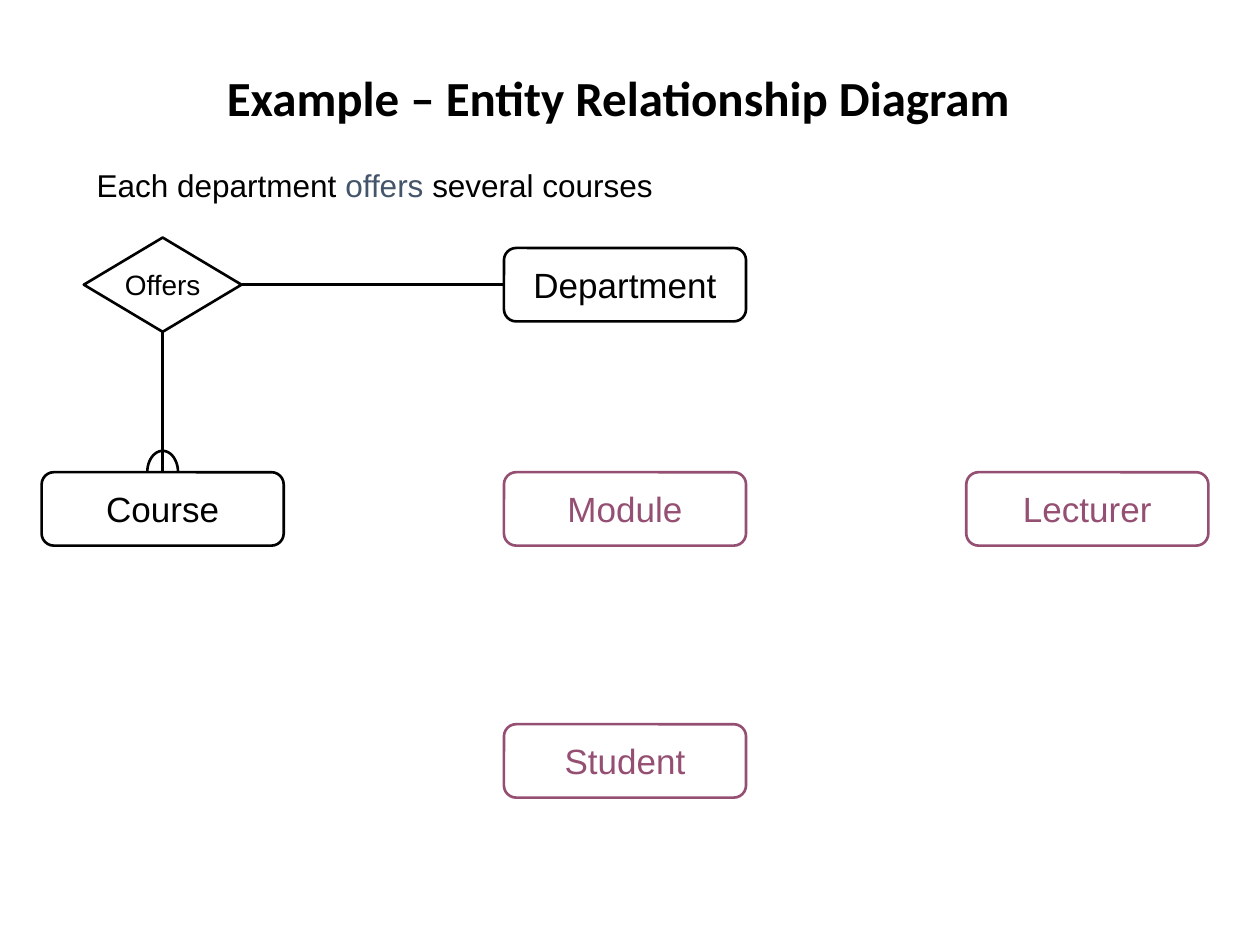
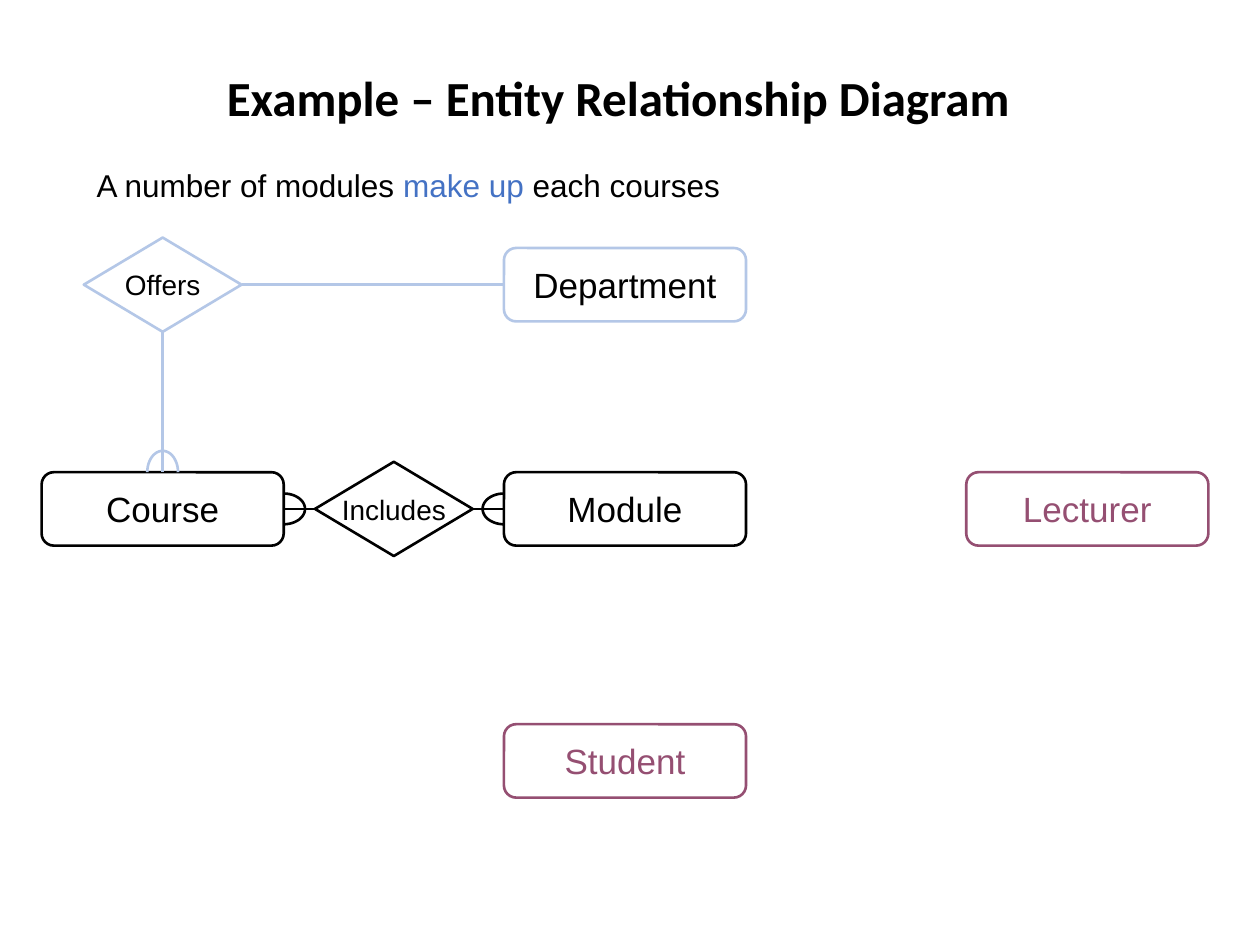
from math import cos, pi, sin

from lxml.etree import SubElement
from pptx import Presentation
from pptx.dml.color import RGBColor as Rgb
from pptx.enum.shapes import MSO_CONNECTOR as Link, MSO_SHAPE as Kind
from pptx.enum.text import MSO_ANCHOR as Anchor, MSO_AUTO_SIZE as Fit, PP_ALIGN as Align
from pptx.oxml.ns import qn
from pptx.util import Cm, Pt

COLORS = {"black": "000000", "plum": "954F72", "pale": "B4C7E7",
          "slate": "44546A", "blue": "4472C4"}
FONTS = {
    "title": {"name": "Calibri", "size": Pt(28), "bold": True},
    "note": {"name": "Arial", "size": Pt(18)},
    "entity": {"name": "Arial", "size": Pt(20)},
    "relation": {"name": "Arial", "size": Pt(16)},
}
TITLE = "Example – Entity Relationship Diagram"
COLS = [3.28 + 9.32 * i for i in range(3)]
ROWS = [5.74, 10.26, 15.34]
MID = (COLS[0] + COLS[1]) / 2
TOP, LEFT, BOTTOM, RIGHT = range(4)
SIDES = {TOP: (0, -1), LEFT: (-1, 0), BOTTOM: (0, 1), RIGHT: (1, 0)}


def color(name):
    return Rgb.from_string(COLORS[name])


def assign(item, values):
    for key, value in values.items():
        setattr(item, key, value)


class Diagram:
    def __init__(self, deck):
        self.slide = deck.slides.add_slide(deck.slide_layouts[5])
        self.shapes = self.slide.shapes

    def label(self, par, text, style, tint="black"):
        run = par.add_run()
        run.text = text
        assign(run.font, FONTS[style])
        run.font.color.rgb = color(tint)

    def stroke(self, item, tint):
        item.line.color.rgb = color(tint)
        item.line.width = Pt(1.5)

    def title(self, text):
        head = self.shapes.title
        assign(head, {"left": Cm(0.84), "top": Cm(0.84),
                      "width": Cm(23.24), "height": Cm(2.39)})
        assign(head.text_frame, {"vertical_anchor": Anchor.MIDDLE,
                                 "word_wrap": True, "auto_size": Fit.NONE})
        par = head.text_frame.paragraphs[0]
        assign(par, {"alignment": Align.CENTER, "line_spacing": 0.9})
        self.label(par, text, "title")

    def note(self, parts):
        box = self.shapes.add_textbox(Cm(1.7), Cm(3.23), Cm(22.02), Cm(1.02))
        box.text_frame.word_wrap = True
        for text, tint in parts:
            self.label(box.text_frame.paragraphs[0], text, "note", tint)

    def node(self, kind, text, style, size, x, y, line, ink):
        """Add an outlined shape centred on x, y."""
        wide, high = size
        item = self.shapes.add_shape(kind, Cm(x - wide / 2), Cm(y - high / 2),
                                     Cm(wide), Cm(high))
        item.shadow.inherit = False
        item.fill.background()
        self.stroke(item, line)
        assign(item.text_frame, {"word_wrap": False,
                                 "vertical_anchor": Anchor.MIDDLE})
        par = item.text_frame.paragraphs[0]
        par.alignment = Align.CENTER
        self.label(par, text, style, ink)
        return item

    def entity(self, text, col, row, line="black", ink="black"):
        return self.node(Kind.ROUNDED_RECTANGLE, text, "entity", (4.88, 1.48),
                         COLS[col], ROWS[row], line, ink)

    def relation(self, text, x, row, line="black"):
        return self.node(Kind.DIAMOND, text, "relation", (3.18, 1.9),
                         x, ROWS[row], line, "black")

    def link(self, start, side, end, goal, tint="black"):
        line = self.shapes.add_connector(Link.STRAIGHT, 0, 0, 0, 0)
        line.begin_connect(start, side)
        line.end_connect(end, goal)
        self.stroke(line, tint)
        SubElement(line._element.spPr, qn("a:effectLst"))

    def many(self, item, side, tint="black"):
        """Draw the half ellipse that marks the many end on a side."""
        dx, dy = SIDES[side]
        x = item.left + item.width * (1 + dx) / 2
        y = item.top + item.height * (1 + dy) / 2
        deep, half = Cm(0.43), Cm(0.31)
        steps = 24
        points = []
        for i in range(steps + 1):
            turn = pi * (i / steps - 0.5)
            out, off = deep * cos(turn), half * sin(turn)
            points.append((round(x + dx * out - dy * off),
                           round(y + dy * out + dx * off)))
        pen = self.shapes.build_freeform(*points[0])
        pen.add_line_segments(points[1:], close=False)
        arc = pen.convert_to_shape()
        arc.shadow.inherit = False
        arc.fill.background()
        self.stroke(arc, tint)

    def base(self, parts, tint):
        """Add what both slides share, with the offers part in one tint."""
        self.title(TITLE)
        self.note(parts)
        course = self.entity("Course", 0, 1)
        dept = self.entity("Department", 1, 0, tint)
        self.entity("Student", 1, 2, "plum", "plum")
        self.entity("Lecturer", 2, 1, "plum", "plum")
        offers = self.relation("Offers", COLS[0], 0, tint)
        self.link(dept, LEFT, offers, RIGHT, tint)
        self.link(offers, BOTTOM, course, TOP, tint)
        self.many(course, TOP, tint)
        return course


def main():
    deck = Presentation()
    assign(deck, {"slide_width": Cm(25.4), "slide_height": Cm(19.05)})

    first = Diagram(deck)
    first.base([("Each department ", "black"), ("offers", "slate"),
                (" several courses", "black")], "black")
    first.entity("Module", 1, 1, "plum", "plum")

    second = Diagram(deck)
    course = second.base([("A number of modules ", "black"), ("make up", "blue"),
                          (" each courses", "black")], "pale")
    module = second.entity("Module", 1, 1)
    holds = second.relation("Includes", MID, 1)
    second.link(course, RIGHT, holds, LEFT)
    second.link(holds, RIGHT, module, LEFT)
    second.many(module, LEFT)
    second.many(course, RIGHT)

    deck.save("out.pptx")


if __name__ == "__main__":
    main()
